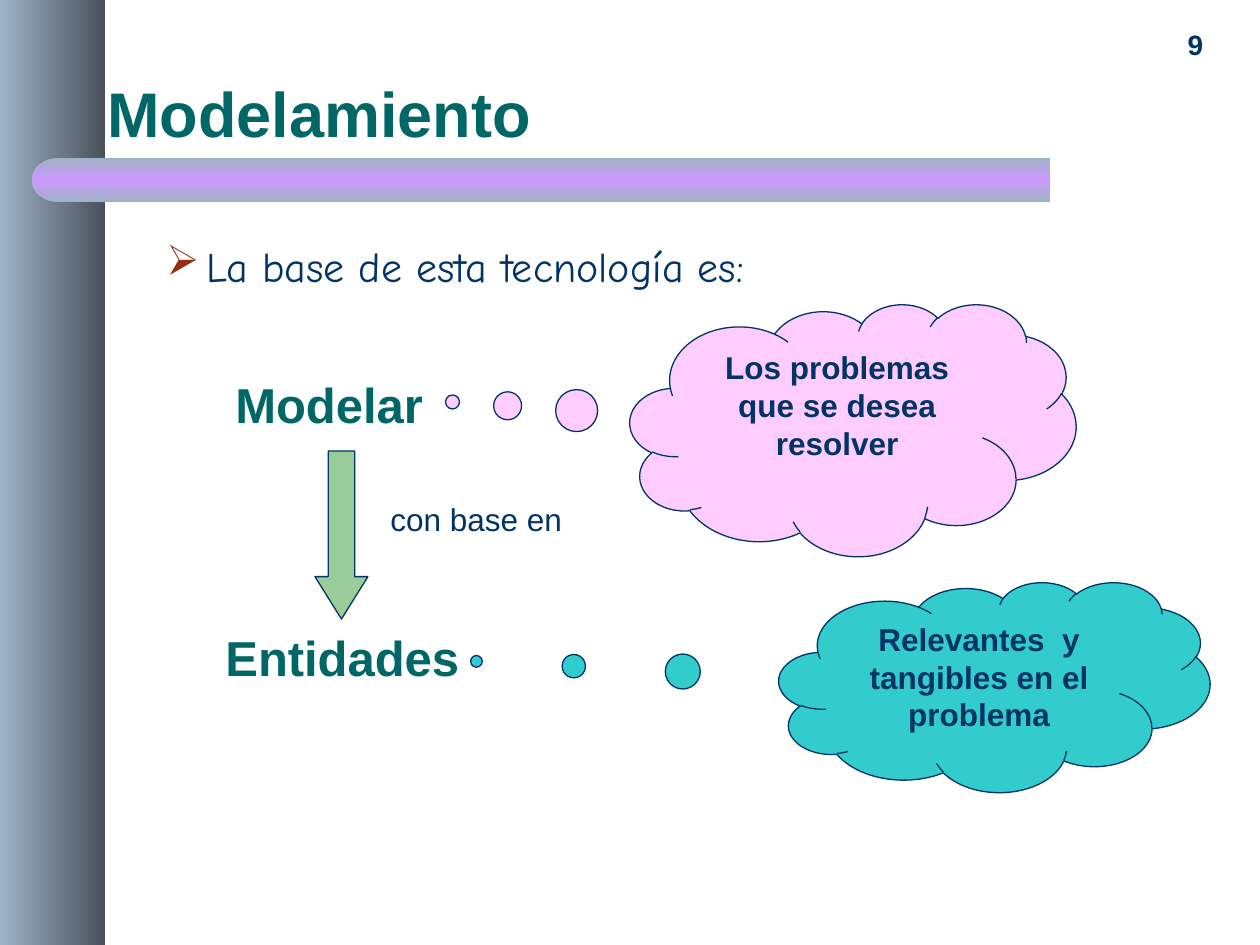
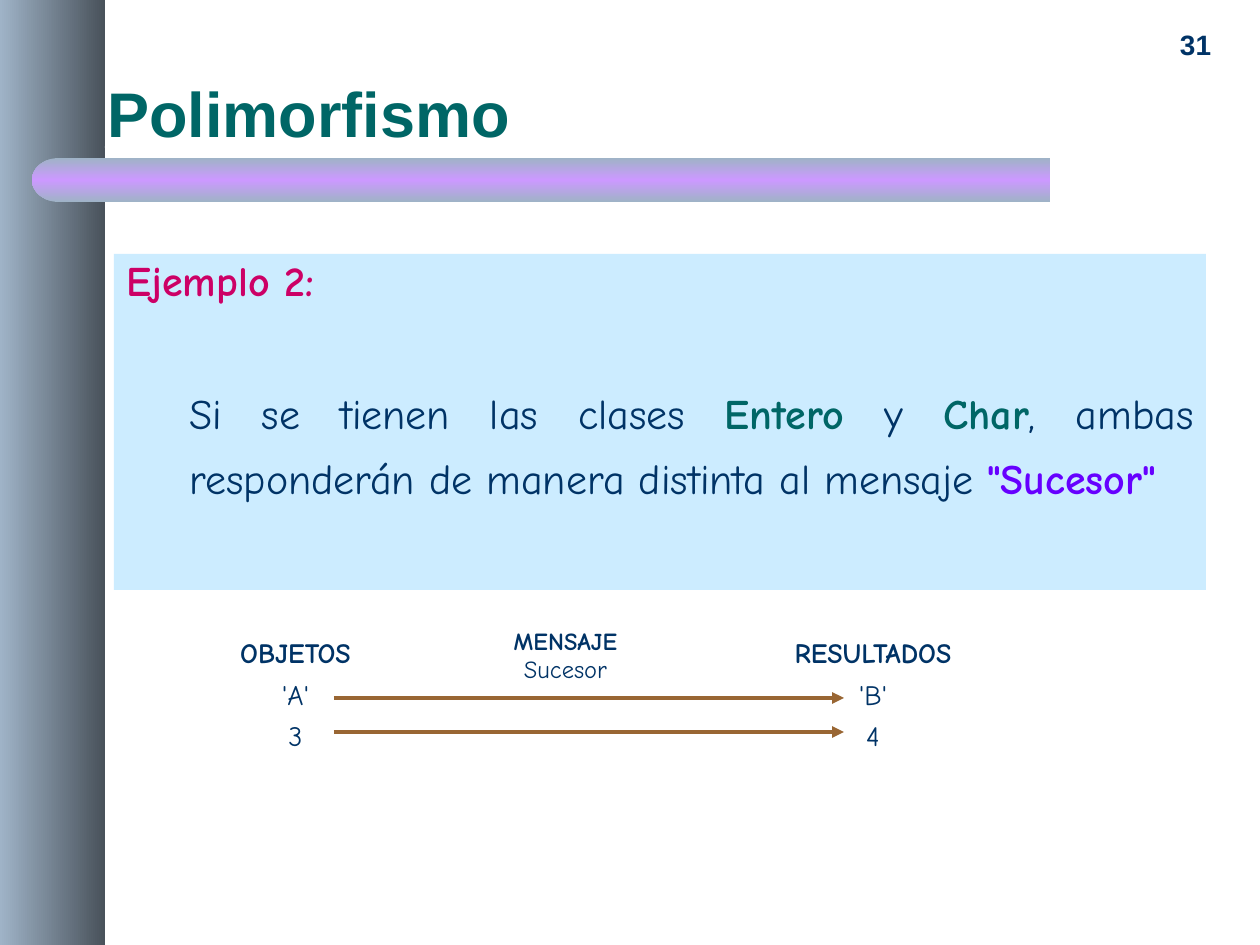
from lxml import etree
from pptx import Presentation
from pptx.dml.color import RGBColor
from pptx.enum.shapes import MSO_CONNECTOR, MSO_SHAPE
from pptx.enum.text import MSO_ANCHOR, PP_ALIGN
from pptx.oxml.ns import qn
from pptx.util import Emu, Pt

LEFT, CENTER, JUSTIFY = PP_ALIGN.LEFT, PP_ALIGN.CENTER, PP_ALIGN.JUSTIFY
TOP, BOTTOM = MSO_ANCHOR.TOP, MSO_ANCHOR.BOTTOM
RECTANGLE, ROUNDED = MSO_SHAPE.RECTANGLE, MSO_SHAPE.ROUNDED_RECTANGLE
DELAY, OVAL_CLOUD = MSO_SHAPE.FLOWCHART_DELAY, MSO_SHAPE.CLOUD_CALLOUT
DOWN_ARROW, STRAIGHT = MSO_SHAPE.DOWN_ARROW, MSO_CONNECTOR.STRAIGHT

PX = 914400 / 126
WIDTH, HEIGHT = 1260, 945
SANS, COMIC = "Arial", "Comic Neue"
COLORS = {
    "navy": "003366", "teal": "006666", "white": "FFFFFF",
    "slate": "49525B", "steel": "9FB3C7", "lilac": "CC99FF",
    "bullet": "912E13", "green": "99CC99", "pink": "FFCCFF",
    "turquoise": "33CCCC", "sky": "CCECFF", "magenta": "CC0066",
    "violet": "6600FF", "brown": "996633",
}


def px(length):
    return Emu(round(length * PX))


def rgb(name):
    return RGBColor.from_string(COLORS[name])


def add_xml(parent, tag, **attributes):
    return etree.SubElement(parent, qn(tag), attributes)


def apply_format(target, values):
    for name, value in values.items():
        setattr(target, name, value)


class Deck:
    """Holds the presentation, the shared style and the current slide."""

    def __init__(self):
        self.presentation = Presentation()
        apply_format(self.presentation, {"slide_width": px(WIDTH), "slide_height": px(HEIGHT)})
        self.slide = None

    def new_slide(self, title, number):
        self.slide = self.presentation.slides.add_slide(self.presentation.slide_layouts[6])
        self.gradient(RECTANGLE, (0, 0, 105, HEIGHT), ["slate", "steel"], 180)
        self.shape(ROUNDED, (105, 105, 703, 84), "white", adjustments=[0.5])
        band = ["steel", "lilac", "steel"]
        self.gradient(RECTANGLE, (84, 158, 966, 44), band, 90)
        cap = self.gradient(DELAY, (32, 158, 54, 44), band, 90)
        cap._element.spPr.find(qn("a:xfrm")).set("flipH", "1")
        self.text_box((95, 73, 1102, 84), title, 36, color="teal", bold=True,
                      anchor=BOTTOM, line_spacing=0.9)
        self.text_box((1155, 20, 81, 47), number, 16, bold=True,
                      anchor=BOTTOM, alignment=CENTER)

    def shape(self, kind, box, fill, line=None, adjustments=()):
        shape = self.slide.shapes.add_shape(kind, *map(px, box))
        shape.shadow.inherit = False
        shape.fill.solid()
        shape.fill.fore_color.rgb = rgb(fill)
        for index, value in enumerate(adjustments):
            shape.adjustments[index] = value
        if line:
            shape.line.color.rgb = rgb(line)
            shape.line.width = Pt(0.75)
        else:
            shape.line.fill.background()
        return shape

    def gradient(self, kind, box, names, angle):
        """Add a shape whose colours are spread evenly along the angle."""
        shape = self.shape(kind, box, names[0])
        shape.fill.gradient()
        shape.fill.gradient_angle = angle
        stops = shape._element.spPr.find(qn("a:gradFill")).find(qn("a:gsLst"))
        for stop in list(stops):
            stops.remove(stop)
        for index, name in enumerate(names):
            position = str(100000 * index // (len(names) - 1))
            stop = add_xml(stops, "a:gs", pos=position)
            add_xml(stop, "a:srgbClr", val=COLORS[name])
        return shape

    def frame(self, shape, anchor=TOP):
        apply_format(shape.text_frame, {
            "word_wrap": True, "vertical_anchor": anchor,
            "margin_left": Pt(7.2), "margin_right": Pt(7.2),
            "margin_top": Pt(3.6), "margin_bottom": Pt(3.6)})
        return shape.text_frame

    def paragraph(self, frame, runs, size, font=SANS, alignment=LEFT,
                  space_before=0, line_spacing=1.0):
        """Fill the empty first paragraph or add one; runs are (text, color, bold)."""
        first = frame.paragraphs[0]
        paragraph = frame.add_paragraph() if first.runs else first
        apply_format(paragraph, {"alignment": alignment, "line_spacing": line_spacing,
                                 "space_before": Pt(space_before)})
        for text, color, bold in runs:
            run = paragraph.add_run()
            run.text = text
            apply_format(run.font, {"name": font, "size": Pt(size), "bold": bold})
            run.font.color.rgb = rgb(color)
        return paragraph

    def text_box(self, box, text, size, color="navy", bold=False, anchor=TOP, **style):
        shape = self.slide.shapes.add_textbox(*map(px, box))
        frame = self.frame(shape, anchor)
        self.paragraph(frame, [(text, color, bold)], size, **style)
        return frame

    def bullet(self, paragraph, symbol, color, indent):
        properties = paragraph._p.get_or_add_pPr()
        properties.set("marL", str(px(indent)))
        properties.set("indent", str(-px(indent)))
        add_xml(add_xml(properties, "a:buClr"), "a:srgbClr", val=COLORS[color])
        add_xml(properties, "a:buChar", char=symbol)

    def cloud(self, box, fill, tail, text):
        shape = self.shape(OVAL_CLOUD, box, fill, "navy", tail)
        self.paragraph(self.frame(shape), [(text, "navy", True)], 18,
                       alignment=CENTER, space_before=11.2)

    def column(self, box, heading, entries, size, space_before, line_spacing):
        """Add a bold heading with plain entries centred below it."""
        style = {"font": COMIC, "alignment": CENTER, "space_before": space_before}
        frame = self.text_box(box, heading, size, bold=True, **style)
        for entry in entries:
            self.paragraph(frame, [(entry, "navy", False)], size,
                           line_spacing=line_spacing, **style)

    def arrow(self, left, right, y):
        connector = self.slide.shapes.add_connector(STRAIGHT, *map(px, (left, y, right, y)))
        connector.line.color.rgb = rgb("brown")
        connector.line.width = Pt(2.25)
        add_xml(connector.line._get_or_add_ln(), "a:tailEnd", type="triangle")
        add_xml(connector._element.spPr, "a:effectLst")


def build_modelling(deck):
    deck.new_slide("Modelamiento", "9")
    base = deck.text_box((154, 234, 1029, 64), "La base de esta tecnología es:", 24,
                         font=COMIC, alignment=JUSTIFY, space_before=15)
    deck.bullet(base.paragraphs[0], "➢", "bullet", 40)
    deck.text_box((223, 368, 228, 72), "Modelar", 28, "teal", True, space_before=7)
    deck.text_box((378, 494, 252, 50), "con base en", 18, space_before=4.5)
    deck.text_box((213, 621, 273, 72), "Entidades", 28, "teal", True, space_before=17.5)
    deck.shape(DOWN_ARROW, (315, 451, 53, 168), "green", "navy", [0.5, 0.8])
    deck.cloud((630, 304, 446, 252), "pink", [-0.898, -0.111],
               "Los problemas que se desea resolver")
    deck.cloud((779, 582, 431, 210), "turquoise", [-1.202, -0.122],
               "Relevantes  y tangibles en el problema")


def build_polymorphism(deck):
    deck.new_slide("Polimorfismo", "31")
    deck.column((199, 629, 193, 128), "OBJETOS", ["'A'", "3"], 16, 10, 0.7)
    deck.column((469, 620, 193, 67), "MENSAJE", ["Sucesor"], 14, 8.8, 0.3)
    deck.column((738, 629, 270, 128), "RESULTADOS", ["'B'", "4"], 16, 10, 0.7)
    for y in (698, 732):
        deck.arrow(334, 844, y)

    example = deck.frame(deck.shape(RECTANGLE, (114, 254, 1092, 336), "sky"))
    style = {"font": COMIC, "alignment": JUSTIFY}
    deck.paragraph(example, [("Ejemplo 2:", "magenta", True)], 24,
                   space_before=6, line_spacing=0.9, **style)
    statement = deck.paragraph(example, [
        ("Si se tienen las clases ", "navy", False),
        ("Entero ", "teal", True),
        ("y ", "navy", False),
        ("Char", "teal", True),
        (", ambas responderán de manera distinta al mensaje ", "navy", False),
        ('"Sucesor"', "violet", True),
    ], 24, space_before=38, line_spacing=1.3, **style)
    statement._p.get_or_add_pPr().set("marL", str(px(63)))


def main():
    deck = Deck()
    build_modelling(deck)
    build_polymorphism(deck)
    deck.presentation.save("out.pptx")


if __name__ == "__main__":
    main()
